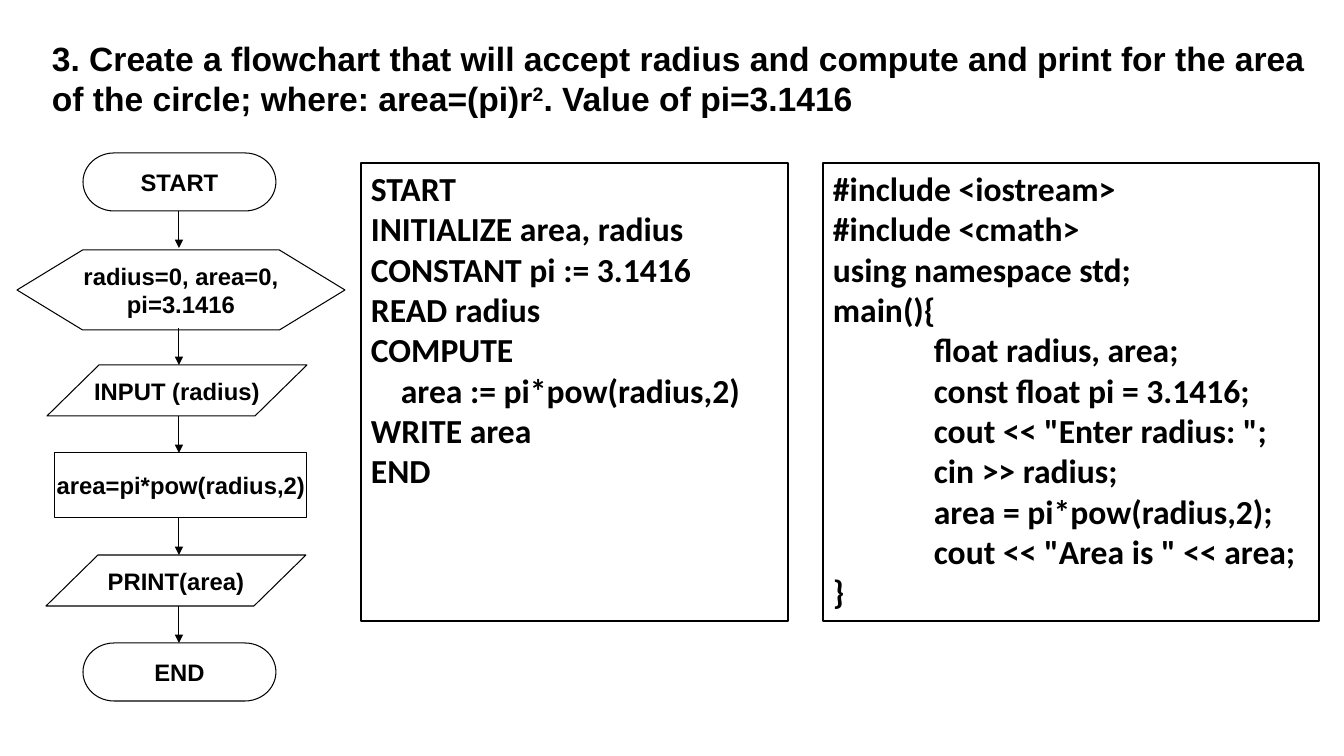
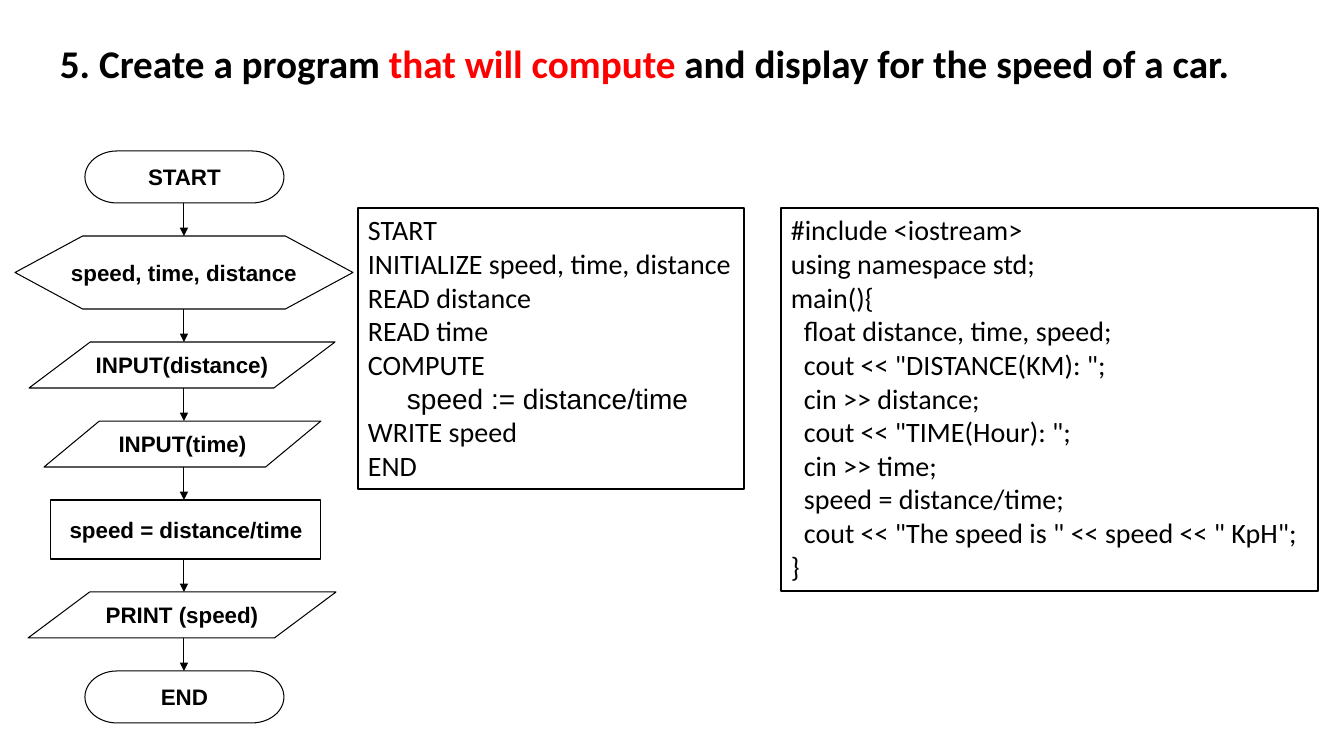
from dataclasses import dataclass
from typing import NamedTuple

from lxml.etree import SubElement
from pptx import Presentation
from pptx.dml.color import RGBColor
from pptx.enum.shapes import MSO_CONNECTOR as Conn, MSO_SHAPE as Kind
from pptx.enum.text import MSO_ANCHOR as Anchor, PP_ALIGN as Align
from pptx.oxml.ns import qn
from pptx.util import Emu, Pt

INK, RED, PAPER = "000000", "FF0000", "FFFFFF"
SCALE = 914400 / 100.8
TERM, PREP = Kind.FLOWCHART_TERMINATOR, Kind.FLOWCHART_PREPARATION
DATA, PROC = Kind.FLOWCHART_DATA, Kind.FLOWCHART_PROCESS


class Run(NamedTuple):
    text: str
    color: str = INK
    font: str = ""
    base: int = 0


@dataclass
class Title:
    box: tuple
    runs: list
    size: int
    font: str
    before: int  # percent of a line


@dataclass
class Step:
    kind: Kind
    left: int
    width: int
    height: int
    lines: list
    drop: int = 0


@dataclass
class Flow:
    top: int
    gap: int
    axis: int
    size: int
    steps: list


@dataclass
class Panel:
    box: tuple
    indent: int
    lines: list  # a leading tab marks an indented line


@dataclass
class Page:
    title: Title
    flow: Flow
    panels: list
    size: int
    bold: bool


def px(n: float) -> Emu:
    return Emu(round(n * SCALE))


def rgb(code: str) -> RGBColor:
    return RGBColor.from_string(code)


def write(frame, lines: list, *, size: int, font: str, bold: bool = True,
          align=Align.LEFT, wrap: bool = True, anchor=Anchor.TOP,
          indent: int = 0, before: int = 0) -> None:
    """Each line is a string or a list of runs."""
    frame.word_wrap = wrap
    frame.vertical_anchor = anchor
    for i, line in enumerate(lines):
        para = frame.add_paragraph() if i else frame.paragraphs[0]
        para.alignment = align
        runs = [Run(line)] if isinstance(line, str) else line
        props = para._p.get_or_add_pPr()
        if before:
            space = SubElement(props, qn("a:spcBef"))
            SubElement(space, qn("a:spcPct")).set("val", str(before * 1000))
        if runs[0].text.startswith("\t"):
            props.set("marL", str(px(indent)))
            props.set("indent", "0")
        for part in runs:
            run = para.add_run()
            run.text = part.text.lstrip("\t")
            face = run.font
            face.size, face.bold = Pt(size), bold
            face.name = part.font or font
            face.color.rgb = rgb(part.color)
            if part.base:
                run._r.get_or_add_rPr().set("baseline", str(part.base * 1000))


def shape(slide, kind: Kind, box: tuple, weight: float, fill: str = ""):
    item = slide.shapes.add_shape(kind, *map(px, box))
    item.shadow.inherit = False
    if fill:
        item.fill.solid()
        item.fill.fore_color.rgb = rgb(fill)
    else:
        item.fill.background()
    item.line.color.rgb = rgb(INK)
    item.line.width = Pt(weight)
    return item


def arrow(slide, x: int, top: int, end: int) -> None:
    item = slide.shapes.add_connector(
        Conn.STRAIGHT, px(x), px(top), px(x), px(end))
    item.line.color.rgb = rgb(INK)
    item.line.width = Pt(0.75)
    SubElement(item.line._get_or_add_ln(), qn("a:tailEnd")).set(
        "type", "triangle")
    SubElement(item._element.spPr, qn("a:effectLst"))


def chart(slide, flow: Flow) -> None:
    y = flow.top
    for i, step in enumerate(flow.steps):
        if i:
            arrow(slide, flow.axis, y - flow.gap, y)
        box = (step.left, y + step.drop, step.width, step.height)
        item = shape(slide, step.kind, box, 0.75)
        write(item.text_frame, step.lines, size=flow.size, font="Arial",
              align=Align.CENTER, wrap=False, anchor=Anchor.MIDDLE)
        y += step.height + flow.gap


def draw(deck, page: Page) -> None:
    slide = deck.slides.add_slide(deck.slide_layouts[6])
    head = page.title
    label = slide.shapes.add_textbox(*map(px, head.box))
    write(label.text_frame, [head.runs], size=head.size, font=head.font,
          before=head.before)
    chart(slide, page.flow)
    for panel in page.panels:
        item = shape(slide, Kind.RECTANGLE, panel.box, 1, PAPER)
        write(item.text_frame, panel.lines, size=page.size, font="Calibri",
              bold=page.bold, indent=panel.indent)


# Area of a circle
circle = Page(
    Title((42, 33, 1302, 92), [
        Run("3. Create a flowchart that will accept radius and compute and "
            "print for the area of the circle; where: area=(pi)r"),
        Run("2", base=30),
        Run(". Value of pi=3.1416"),
    ], 24, "Arial", 50),
    Flow(153, 37, 179, 17, [
        Step(TERM, 83, 193, 58, ["START"]),
        Step(PREP, 17, 328, 80, ["radius=0, area=0,", "pi=3.1416"], drop=2),
        Step(DATA, 47, 260, 51, ["INPUT (radius)"]),
        Step(PROC, 55, 252, 65, ["area=pi*pow(radius,2)"]),
        Step(DATA, 46, 260, 51, ["PRINT(area)"]),
        Step(TERM, 83, 193, 58, ["END"]),
    ]),
    [
        Panel((361, 163, 427, 458), 30, [
            "START",
            "INITIALIZE area, radius",
            "CONSTANT pi := 3.1416",
            "READ radius",
            "COMPUTE",
            "\tarea := pi*pow(radius,2)",
            "WRITE area",
            "END",
        ]),
        Panel((823, 163, 496, 458), 101, [
            "#include <iostream>",
            "#include <cmath>",
            "using namespace std;",
            "main(){",
            "\tfloat radius, area;",
            "\tconst float pi = 3.1416;",
            '\tcout << "Enter radius: ";',
            "\tcin >> radius;",
            "\tarea = pi*pow(radius,2);",
            '\tcout << "Area is " << area;',
            "}",
        ]),
    ], 24, True)

# Speed of a car
speed = Page(
    Title((50, 34, 1294, 57), [
        Run("5. Create a program "),
        Run("that will compute ", RED),
        Run("and display for the speed of a car."),
    ], 28, "Calibri", 20),
    Flow(151, 33, 184, 16, [
        Step(TERM, 85, 199, 52, ["START"]),
        Step(PREP, 15, 338, 73, ["speed, time, distance"]),
        Step(DATA, 29, 306, 46, ["INPUT(distance)"]),
        Step(DATA, 44, 277, 46, ["INPUT(time)"]),
        Step(PROC, 51, 270, 59, ["speed = distance/time"]),
        Step(DATA, 28, 308, 46, ["PRINT (speed)"]),
        Step(TERM, 85, 199, 52, ["END"]),
    ]),
    [
        Panel((358, 208, 386, 281), 39, [
            "START",
            "INITIALIZE speed, time, distance",
            "READ distance",
            "READ time",
            "COMPUTE",
            [Run("\tspeed := distance/time", font="Arial")],
            "WRITE speed",
            "END",
        ]),
        Panel((781, 208, 537, 383), 13, [
            "#include <iostream>",
            "using namespace std;",
            "main(){",
            "\tfloat distance, time, speed;",
            '\tcout << "DISTANCE(KM): ";',
            "\tcin >> distance;",
            '\tcout << "TIME(Hour): ";',
            "\tcin >> time;",
            "\tspeed = distance/time;",
            '\tcout << "The speed is " << speed << " KpH";',
            "}",
        ]),
    ], 20, False)

deck = Presentation()
deck.slide_width, deck.slide_height = px(1344), px(756)
for page in (circle, speed):
    draw(deck, page)
deck.save("out.pptx")
